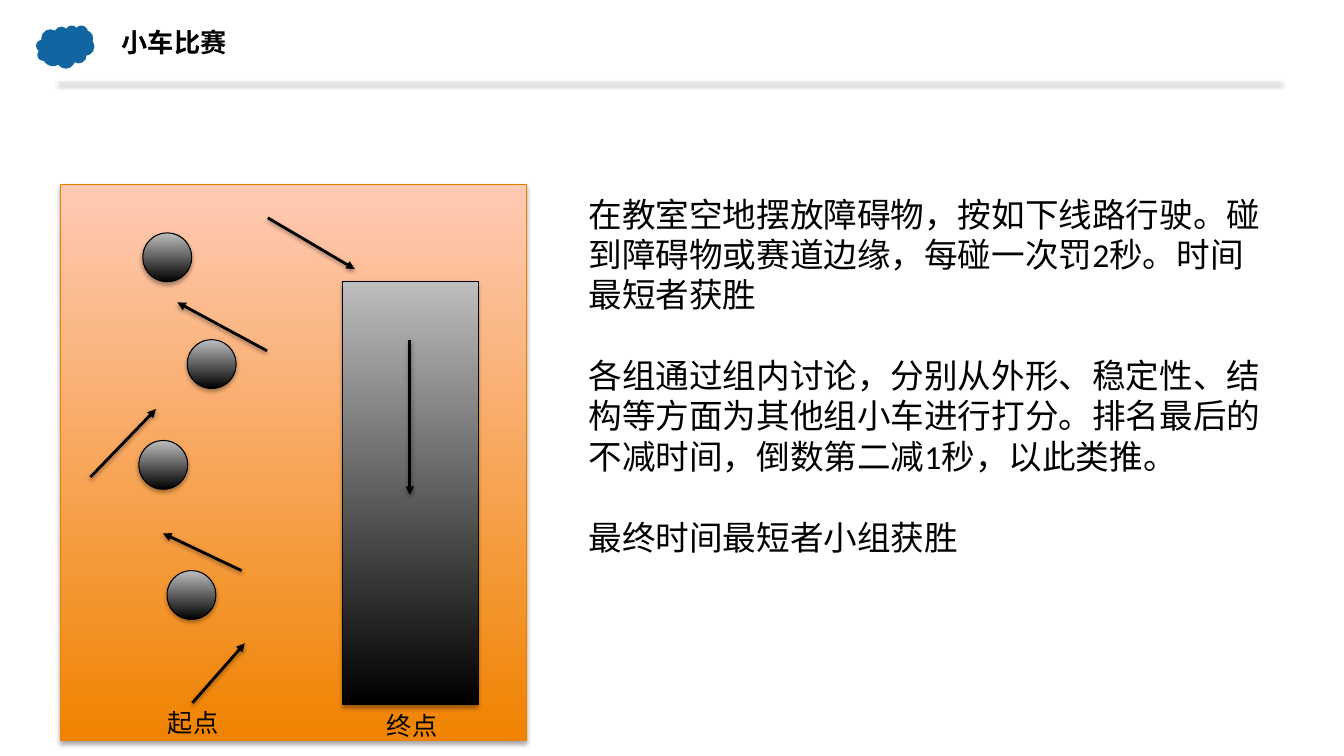
from dataclasses import dataclass

from lxml import etree
from pptx import Presentation
from pptx.dml.color import RGBColor as RGB
from pptx.enum.shapes import MSO_CONNECTOR as CONN, MSO_SHAPE as SHAPE
from pptx.enum.text import MSO_ANCHOR as ANCHOR
from pptx.oxml import parse_xml
from pptx.oxml.ns import nsdecls, qn
from pptx.util import Cm, Pt


@dataclass(frozen=True)
class Theme:
    ink: str = "000000"
    rule: str = "E0E0E0"
    icon: str = "1165A0"
    track: tuple = ("F08300", "FFCAB5")
    track_line: str = "EB8000"
    obstacle: tuple = ("000000", "BDBDBD")
    title_font: str = "Manrope"
    body_font: str = "Calibri"
    title_size: float = 18.7
    body_size: float = 24
    label_size: float = 18
    body_gap: float = 29
    hairline: float = 0.75
    arrow_width: float = 2


T = Theme()

RULES = [
    "在教室空地摆放障碍物，按如下线路行驶。碰到障碍物或赛道边缘，每碰一次罚2秒。时间最短者获胜",
    "各组通过组内讨论，分别从外形、稳定性、结构等方面为其他组小车进行打分。排名最后的不减时间，倒数第二减1秒，以此类推。",
    "最终时间最短者小组获胜",
]
BALL_SIZE = 1.23
BALLS = [(2.08, 1.22), (3.2, 3.91), (1.98, 6.45), (2.69, 9.73)]
LANE = (7.11, 2.44, 3.42, 10.67)
LABELS = [("起点", 2.46, 13.06), ("终点", 7.98, 13.13)]
ROUTE = [
    (3.33, 13.06, 4.65, 11.56),
    (4.57, 9.73, 2.59, 8.79),
    (0.76, 7.37, 2.41, 5.66),
    (5.21, 4.19, 2.95, 2.97),
    (5.23, 0.84, 7.42, 2.13),
    (8.81, 3.91, 8.81, 7.82),
]


def add_shadow(sp, distance, alpha):
    sp._element.spPr.append(parse_xml(
        f'<a:effectLst {nsdecls("a")}><a:outerShdw blurRad="40000" dist="{distance}" '
        f'dir="5400000" rotWithShape="0"><a:srgbClr val="000000">'
        f'<a:alpha val="{alpha}"/></a:srgbClr></a:outerShdw></a:effectLst>'))


def add_line(s, ends, color, width):
    line = s.shapes.add_connector(CONN.STRAIGHT, *(Cm(v) for v in ends))
    line.line.color.rgb = RGB.from_string(color)
    line.line.width = Pt(width)
    return line


def add_arrow(s, ends):
    arrow = add_line(s, ends, T.ink, T.arrow_width)
    ln = arrow.line._get_or_add_ln()
    etree.SubElement(ln, qn("a:tailEnd"), type="triangle")
    add_shadow(arrow, 20000, 38000)


def add_block(s, kind, box, stops, line_color):
    sp = s.shapes.add_shape(kind, *(Cm(v) for v in box))
    sp.fill.gradient()
    sp.fill.gradient_angle = 90
    for stop, position, color in zip(sp.fill.gradient_stops, (0, 1), stops):
        stop.position = position
        stop.color.rgb = RGB.from_string(color)
    sp.line.color.rgb = RGB.from_string(line_color)
    sp.line.width = Pt(T.hairline)
    add_shadow(sp, 23000, 35000)


def add_text(s, box, paragraphs, font, size, bold=False, gap=0):
    tf = s.shapes.add_textbox(*(Cm(v) for v in box)).text_frame
    tf.word_wrap = True
    for i, text in enumerate(paragraphs):
        p = tf.add_paragraph() if i else tf.paragraphs[0]
        p.text = text
        if i:
            p.space_before = Pt(gap)
        r = p.runs[0]
        r.font.name = font
        r.font.size = Pt(size)
        r.font.bold = bold
        r.font.color.rgb = RGB.from_string(T.ink)
    return tf


def header(s, x, y, w, h):
    add_line(s, (x + w, y + h, x + 0.56, y + h), T.rule, T.hairline)
    icon = s.shapes.add_shape(SHAPE.CLOUD, Cm(x), Cm(y + 0.23), Cm(1.47), Cm(1.09))
    icon.shadow.inherit = False
    icon.fill.solid()
    icon.fill.fore_color.rgb = RGB.from_string(T.icon)
    icon.line.fill.background()
    tf = add_text(s, (x + 2.16, y, 22.58, 1.32), ["小车比赛"],
                  T.title_font, T.title_size, bold=True)
    tf.margin_left = tf.margin_right = tf.margin_top = tf.margin_bottom = 0
    tf.vertical_anchor = ANCHOR.MIDDLE


def rules(s, x, y, w, h):
    add_text(s, (x, y, w, h), RULES, T.body_font, T.body_size, gap=T.body_gap)


def race_track(s, x, y, w, h):
    add_block(s, SHAPE.RECTANGLE, (x, y, w, h), T.track, T.track_line)
    for dx, dy in BALLS:
        add_block(s, SHAPE.OVAL, (x + dx, y + dy, BALL_SIZE, BALL_SIZE), T.obstacle, T.ink)
    dx, dy, lane_w, lane_h = LANE
    add_block(s, SHAPE.RECTANGLE, (x + dx, y + dy, lane_w, lane_h), T.obstacle, T.ink)
    for text, dx, dy in LABELS:
        add_text(s, (x + dx, y + dy, 2.18, 1.02), [text], T.body_font, T.label_size)
    for x1, y1, x2, y2 in ROUTE:
        add_arrow(s, (x + x1, y + y1, x + x2, y + y2))


def main():
    prs = Presentation()
    prs.slide_width, prs.slide_height = Cm(33.87), Cm(19.05)
    s = prs.slides.add_slide(prs.slide_layouts[6])
    header(s, 0.91, 0.41, 31.37, 1.67)
    rules(s, 14.58, 4.75, 17.53, 10.26)
    race_track(s, 1.52, 4.65, 11.76, 14.02)
    prs.save("out.pptx")


if __name__ == "__main__":
    main()
